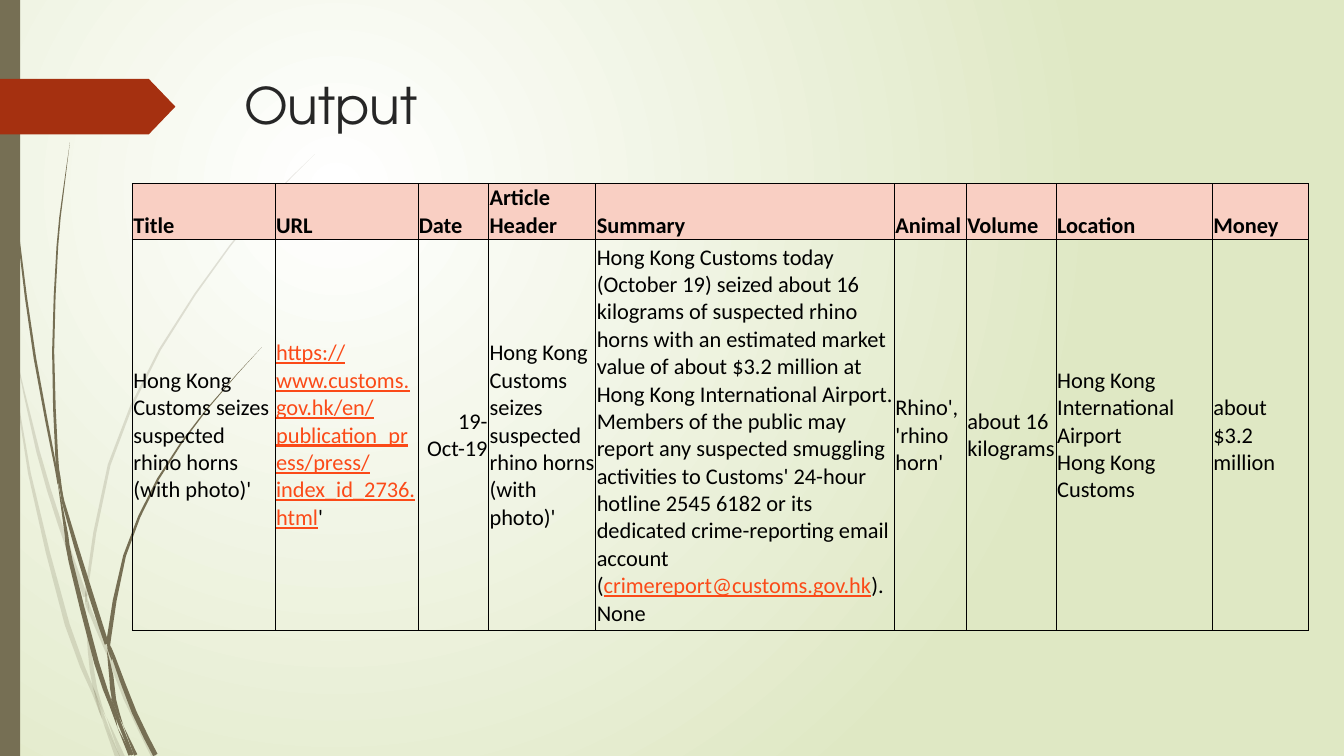
from math import hypot

from lxml.etree import SubElement
from pptx import Presentation
from pptx.dml.color import RGBColor
from pptx.enum.shapes import MSO_SHAPE as Preset
from pptx.enum.text import MSO_ANCHOR as Anchor, PP_ALIGN as Align
from pptx.oxml import parse_xml
from pptx.oxml.ns import nsdecls, qn
from pptx.util import Pt

WHITE = RGBColor(0xFF, 0xFF, 0xFF)
PALE_GREEN = RGBColor(0xDF, 0xE8, 0xC4)
OLIVE = RGBColor(0x76, 0x6F, 0x54)
RUST = RGBColor(0xA5, 0x30, 0x10)
CHARCOAL = RGBColor(0x26, 0x26, 0x26)
BLACK = RGBColor(0, 0, 0)
PINK = RGBColor(0xF9, 0xCF, 0xC3)
LINK_ORANGE = RGBColor(0xFB, 0x4A, 0x18)

TITLE_FONT = {"name": "TeX Gyre Adventor", "size": Pt(36)}
CELL_FONT = {"name": "Calibri", "size": Pt(16)}
HEADER_FONT = {**CELL_FONT, "bold": True}
LINK_FONT = {**CELL_FONT, "underline": True}
CELL_MARGINS = {"margin_left": Pt(0.72), "margin_right": Pt(0.72),
                "margin_top": Pt(0.72), "margin_bottom": 0}

FAINT_BLADES = [
    [(1, 209, 2), (6, 238, 2), (8, 252, 0)],
    [(10, 248, 0), (27, 322, 2.5), (43, 375, 3), (61, 426, 3)],
    [(63, 429, 0), (65, 438, 2.5), (78, 468, 3), (90, 499, 3.5), (110, 540.7, 3.5)],
    [(76, 512, 0), (87.5, 540.7, 3.5)],
    [(8, 252, 0), (21, 338, 2), (48, 446, 3.5), (67, 495, 2.5), (73, 514, 0)],
    [(60.5, 431, 0), (64, 465, 2.5), (68, 492, 3), (75.6, 512, 0)],
    [(225, 110, 0), (193, 142, 0.7), (164, 176, 1), (114, 250, 1.5), (78, 332, 2),
     (62, 420, 2), (63, 429, 0)],
    [(73, 514, 0), (84, 540.7, 3.5)],
    [(61, 422, 0), (62, 431, 2.5), (63.4, 438, 0)],
    [(67, 492, 0), (72, 508, 2.5), (85.7, 540.7, 0)],
]
SOLID_BLADES = [
    [(2.7, 0, 0.5), (3.5, 35, 0.7), (5.4, 79, 0.8), (13, 167, 1.2), (25, 256, 1.8),
     (40, 335, 1.5), (41, 346, 0)],
    [(43, 340, 0), (45, 358, 2), (65, 425, 3.5), (76.3, 460, 3)],
    [(79, 461.5, 0), (81, 469, 2.5), (96, 509, 3.5), (111, 539.3, 3.5)],
    [(41, 343, 0), (47.5, 382, 2.5), (50.5, 401, 3), (69, 473.5, 3.5),
     (79.5, 504, 2.5), (84, 520, 0)],
    [(50, 101.5, 0), (45, 139, 0.8), (41, 176, 1.2), (38, 251, 1.5),
     (40.5, 325, 2), (43, 340, 0)],
    [(88, 518, 0), (97, 539.3, 2.5)],
    [(39.6, 323, 0), (42, 341, 2.5), (46, 363.6, 0)],
    [(187, 248, 0), (148, 292, 0.8), (113, 342, 1.5), (89, 397, 2),
     (78, 455, 3), (79, 461.5, 0)],
    [(84, 520, 0), (93, 539.3, 2.5)],
    [(76.3, 464, 0), (79.5, 483, 3), (81.5, 500, 3), (88, 518, 0)],
    [(76.5, 454.5, 0), (78, 463, 2.5), (80, 472, 0)],
    [(79, 497.5, 0), (84, 513, 2.5), (94.5, 539.3, 2)],
]

HEADLINE = "Hong Kong Customs seizes suspected rhino horns (with photo)'"
ARTICLE_URL = "https://www.customs.gov.hk/en/publication_press/press/index_id_2736.html"
SUMMARY = (
    "Hong Kong Customs today (October 19) seized about 16 kilograms of suspected rhino "
    "horns with an estimated market value of about $3.2 million at Hong Kong "
    "International Airport.\nMembers of the public may report any suspected smuggling "
    "activities to Customs' 24-hour hotline 2545 6182 or its dedicated crime-reporting "
    "email account ("
)
COLUMNS = [
    ("Title", 102, [(HEADLINE, False)]),
    ("URL", 102, [(ARTICLE_URL, True), ("'", False)]),
    ("Date", 50.5, [("19-Oct-19", False)]),
    ("Article Header", 76.6, [(HEADLINE, False)]),
    ("Summary", 213.3, [(SUMMARY, False), ("crimereport@customs.gov.hk", True),
                        (").\nNone", False)]),
    ("Animal", 51.4, [("Rhino', 'rhino horn'", False)]),
    ("Volume", 64.2, [("about 16 kilograms", False)]),
    ("Location", 111.6, [("Hong Kong International Airport\nHong Kong Customs", False)]),
    ("Money", 68.4, [("about $3.2 million", False)]),
]


def set_background(slide):
    fill = slide.background.fill
    fill.gradient()
    for stop, color, position in zip(fill.gradient_stops, (WHITE, PALE_GREEN), (0, 1)):
        stop.color.rgb = color
        stop.position = position
    gradient = next(slide.element.iter(qn("a:gradFill")))
    gradient.remove(gradient.find(qn("a:lin")))
    gradient.append(parse_xml(
        f'<a:path {nsdecls("a")} path="circle">'
        '<a:fillToRect l="50000" t="50000" r="100000" b="100000"/></a:path>'))


def paint(shape, color, opacity=100):
    shape.shadow.inherit = False
    shape.fill.solid()
    shape.fill.fore_color.rgb = color
    shape.line.fill.background()
    if opacity < 100:
        rgb = next(shape.element.spPr.iter(qn("a:srgbClr")))
        SubElement(rgb, qn("a:alpha"), val=str(opacity * 1000))


def smooth_spine(knots, steps=2):
    padded = [knots[0], *knots, knots[-1]]
    spine = []
    for a, b, c, d in zip(padded, padded[1:], padded[2:], padded[3:]):
        for step in range(steps):
            t = step / steps
            spine.append([
                q + t * (r - p + t * (2 * p - 5 * q + 4 * r - s
                                      + t * (3 * (q - r) + s - p))) / 2
                for p, q, r, s in zip(a, b, c, d)])
    return spine + [knots[-1]]


def add_blade(slide, knots, opacity):
    spine = smooth_spine(knots)
    left, right = [], []
    for before, (x, y, width), after in zip(spine[:1] + spine, spine, spine[1:] + spine[-1:]):
        dx, dy = after[0] - before[0], after[1] - before[1]
        half = width / 2 / hypot(dx, dy)
        left.append((Pt(x - dy * half), Pt(y + dx * half)))
        right.append((Pt(x + dy * half), Pt(y - dx * half)))
    outline = left + right[::-1]
    builder = slide.shapes.build_freeform(*outline[0])
    builder.add_line_segments(outline[1:], close=True)
    paint(builder.convert_to_shape(), OLIVE, opacity)


def add_preset(slide, preset, box, color):
    shape = slide.shapes.add_shape(preset, *map(Pt, box))
    paint(shape, color)
    return shape


def add_text(paragraph, text, formats, color):
    for index, line in enumerate(text.split("\n")):
        if index:
            paragraph.add_line_break()
        run = paragraph.add_run()
        run.text = line
        for name, value in formats.items():
            setattr(run.font, name, value)
        run.font.color.rgb = color


def add_title(slide, text):
    frame = slide.shapes.add_textbox(Pt(167.3), Pt(49.2), Pt(739), Pt(60.5)).text_frame
    frame.word_wrap = True
    frame.vertical_anchor = Anchor.TOP
    add_text(frame.paragraphs[0], text, TITLE_FONT, CHARCOAL)


def format_cell(cell, anchor):
    cell.vertical_anchor = anchor
    for name, value in CELL_MARGINS.items():
        setattr(cell, name, value)
    properties = cell._tc.get_or_add_tcPr()
    for index, side in enumerate("LRTB"):
        properties.insert(index, parse_xml(
            f'<a:ln{side} {nsdecls("a")} w="{Pt(0.5)}"><a:solidFill>'
            f'<a:srgbClr val="{BLACK}"/></a:solidFill></a:ln{side}>'))


def add_output_table(slide):
    width = sum(column[1] for column in COLUMNS)
    table = slide.shapes.add_table(
        2, len(COLUMNS), Pt(94.5), Pt(131), Pt(width), Pt(319.4)).table
    table.first_row = table.horz_banding = False
    table.rows[0].height, table.rows[1].height = Pt(40), Pt(279.4)
    for index, (heading, column_width, parts) in enumerate(COLUMNS):
        table.columns[index].width = Pt(column_width)
        header, body = table.cell(0, index), table.cell(1, index)
        header.fill.solid()
        header.fill.fore_color.rgb = PINK
        body.fill.background()
        format_cell(header, Anchor.BOTTOM)
        format_cell(body, Anchor.MIDDLE)
        add_text(header.text_frame.paragraphs[0], heading, HEADER_FONT, BLACK)
        paragraph = body.text_frame.paragraphs[0]
        paragraph.alignment = Align.RIGHT if heading == "Date" else Align.LEFT
        for text, is_link in parts:
            add_text(paragraph, text, LINK_FONT if is_link else CELL_FONT,
                     LINK_ORANGE if is_link else BLACK)


def main():
    presentation = Presentation()
    presentation.slide_width, presentation.slide_height = Pt(960), Pt(540)
    slide = presentation.slides.add_slide(presentation.slide_layouts[6])
    set_background(slide)
    for blades, opacity in ((FAINT_BLADES, 20), (SOLID_BLADES, 100)):
        for knots in blades:
            add_blade(slide, knots, opacity)
    add_preset(slide, Preset.RECTANGLE, (0, 0, 14.4, 540), OLIVE)
    banner = add_preset(slide, Preset.PENTAGON, (0, 56.3, 125.3, 39.8), RUST)
    banner.adjustments[0] = 0.48
    add_title(slide, "Output")
    add_output_table(slide)
    presentation.save("out.pptx")


main()
